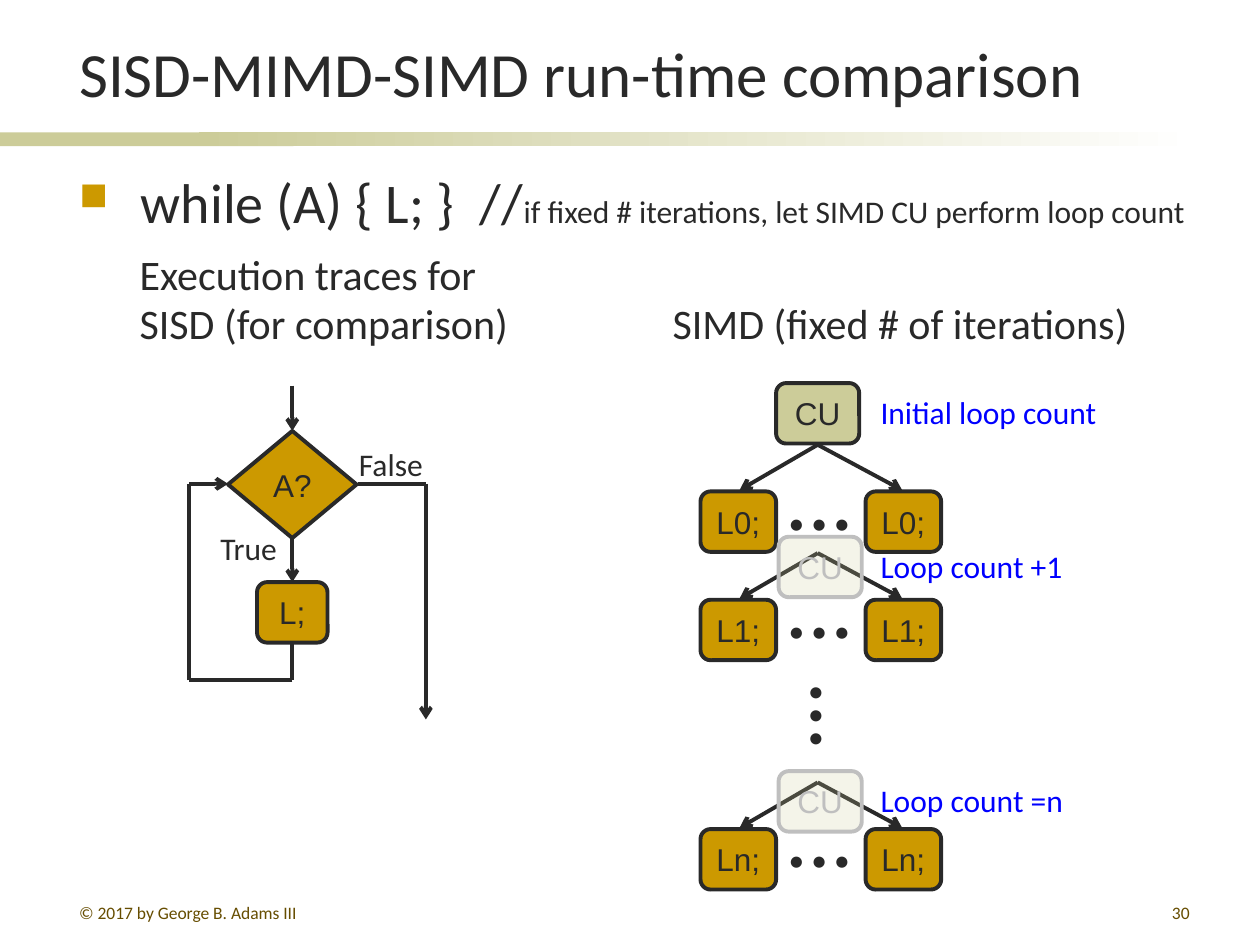
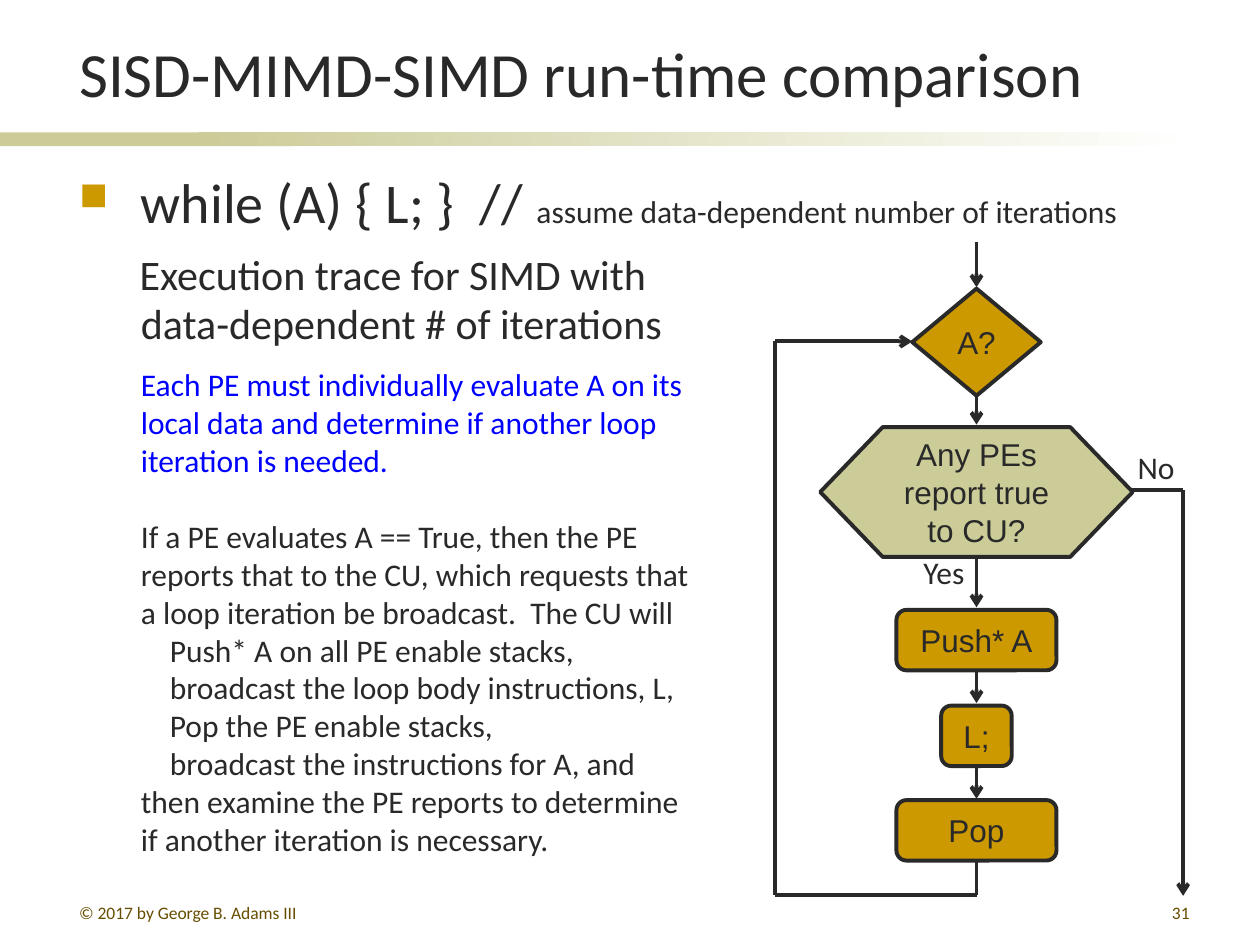
"""Two slides comparing SISD and SIMD execution of a while loop."""
from dataclasses import dataclass
from itertools import pairwise

from lxml import etree
from pptx import Presentation
from pptx.dml.color import RGBColor
from pptx.enum import shapes, text
from pptx.oxml.ns import qn
from pptx.util import Emu, Inches, Pt

INK = RGBColor(0x29, 0x29, 0x29)
GOLD = RGBColor(0xCC, 0x99, 0x00)
SAGE = RGBColor(0xCC, 0xCC, 0x99)
WHITE = RGBColor(0xFF, 0xFF, 0xFF)
FADED = RGBColor(0xBF, 0xBF, 0xBF)
BLUE = RGBColor(0x00, 0x00, 0xFF)
BROWN = RGBColor(0x66, 0x4D, 0x00)
BODY_FONT, NODE_FONT = "Calibri", "Arial"

WIDTH, HEIGHT = Inches(10), Inches(7.5)
COLUMNS, ROWS = 100, 75  # all places below are counted in these grid units
STEP = shapes.MSO_SHAPE.FLOWCHART_ALTERNATE_PROCESS
DECISION = shapes.MSO_SHAPE.FLOWCHART_DECISION
PREPARATION = shapes.MSO_SHAPE.FLOWCHART_PREPARATION
LEFT, CENTER, RIGHT = text.PP_ALIGN.LEFT, text.PP_ALIGN.CENTER, text.PP_ALIGN.RIGHT
TITLE = "SISD-MIMD-SIMD run-time comparison"
COPYRIGHT = "© 2017 by George B. Adams III"
DOTS = "• • •"


@dataclass(frozen=True)
class Box:
    """A rectangle in grid units."""
    col: float
    row: float
    cols: float
    rows: float

    def emu(self) -> tuple[Emu, Emu, Emu, Emu]:
        """Return left, top, width and height as lengths."""
        return (*place(self.col, self.row), *place(self.cols, self.rows))


@dataclass(frozen=True)
class Node:
    """A flow chart node, centred on a column."""
    caption: str
    center: float
    row: float
    cols: float = 5.6
    rows: float = 4.8
    outline: shapes.MSO_SHAPE = STEP
    fill: RGBColor = GOLD
    ghost: bool = False


@dataclass(frozen=True)
class Label:
    """A single line of free text."""
    caption: str
    col: float
    row: float
    cols: float
    size: int = 18
    color: RGBColor = INK
    turn: int = 0


@dataclass(frozen=True)
class Trace:
    """A route through grid points; the last leg may carry an arrowhead."""
    points: tuple[tuple[float, float], ...]
    arrow: bool = True


@dataclass(frozen=True)
class Iteration:
    """One broadcast from the control unit to its processing elements."""
    caption: str
    pe_row: float
    cu_row: float
    count: str
    ghost: bool = True


def place(col: float, row: float) -> tuple[Emu, Emu]:
    """Turn grid units into lengths."""
    return Emu(round(WIDTH * col / COLUMNS)), Emu(round(HEIGHT * row / ROWS))


def style(paragraph, size: int, color: RGBColor, font: str = BODY_FONT, align=LEFT) -> None:
    """Set the font and alignment of a paragraph."""
    paragraph.alignment = align
    paragraph.font.name = font
    paragraph.font.size = Pt(size)
    paragraph.font.color.rgb = color


def add_text(slide, box: Box, caption: str, size: int, color: RGBColor = INK,
             align=LEFT, anchor=text.MSO_ANCHOR.TOP, wrap: bool = True):
    """Add a text box holding one paragraph."""
    area = slide.shapes.add_textbox(*box.emu())
    frame = area.text_frame
    frame.word_wrap = wrap
    frame.vertical_anchor = anchor
    frame.paragraphs[0].text = caption
    style(frame.paragraphs[0], size, color, align=align)
    return area


def add_label(slide, label: Label) -> None:
    """Add a one-line label as high as its text size asks."""
    box = Box(label.col, label.row, label.cols, 5 if label.size > 18 else 4)
    area = add_text(slide, box, label.caption, label.size, label.color, wrap=False)
    area.rotation = label.turn


def add_band(slide, box: Box, fades: bool) -> None:
    """Add one part of the band under the title."""
    band = slide.shapes.add_shape(shapes.MSO_SHAPE.RECTANGLE, *box.emu())
    band.shadow.inherit = False
    band.line.fill.background()
    if fades:
        band.fill.gradient()
        band.fill.gradient_angle = 0
        for stop, color in zip(band.fill.gradient_stops, (SAGE, WHITE)):
            stop.color.rgb = color
    else:
        band.fill.solid()
        band.fill.fore_color.rgb = SAGE


def add_statement(slide, code: str, remark: str) -> None:
    """Add the bulleted loop statement with its smaller remark."""
    area = slide.shapes.add_textbox(*Box(5.3, 12.8, 92.9, 7).emu())
    area.text_frame.word_wrap = True
    statement = area.text_frame.paragraphs[0]
    statement.add_run().text = code
    comment = statement.add_run()
    comment.text = remark
    comment.font.size = Pt(18)
    props = statement._p.get_or_add_pPr()
    props.set("marL", str(Inches(0.49)))
    props.set("indent", str(-Inches(0.49)))
    tint = etree.SubElement(props, qn("a:buClr"))
    etree.SubElement(tint, qn("a:srgbClr"), val=str(GOLD))
    etree.SubElement(props, qn("a:buSzPct"), val="70000")
    etree.SubElement(props, qn("a:buChar"), char="■")
    style(statement, 32, INK)
    statement.space_before = Pt(6.4)


def add_node(slide, node: Node) -> None:
    """Add a flow chart node; a ghost is faded and see-through."""
    box = Box(node.center - node.cols / 2, node.row, node.cols, node.rows)
    shape = slide.shapes.add_shape(node.outline, *box.emu())
    color = FADED if node.ghost else INK
    shape.shadow.inherit = False
    shape.fill.solid()
    shape.fill.fore_color.rgb = node.fill
    if node.ghost:
        tint = shape.element.spPr.find(qn("a:solidFill"))[0]
        etree.SubElement(tint, qn("a:alpha"), val="21000")
    shape.line.color.rgb = color
    shape.line.width = Pt(2.25)
    frame = shape.text_frame
    frame.word_wrap = node.outline == PREPARATION
    frame.vertical_anchor = text.MSO_ANCHOR.MIDDLE
    frame.paragraphs[0].text = node.caption
    style(frame.paragraphs[0], 18, color, NODE_FONT, CENTER)


def add_trace(slide, trace: Trace) -> None:
    """Draw each leg of a trace as a straight connector."""
    for start, end in pairwise(trace.points):
        leg = slide.shapes.add_connector(
            shapes.MSO_CONNECTOR.STRAIGHT, *place(*start), *place(*end))
        leg.line.color.rgb = INK
        leg.line.width = Pt(2.25)
        props = leg.element.spPr
        if trace.arrow and end == trace.points[-1]:
            etree.SubElement(props.find(qn("a:ln")), qn("a:tailEnd"), type="arrow")
        etree.SubElement(props, qn("a:effectLst"))


def add_iteration(slide, step: Iteration) -> None:
    """Draw a control unit fanning out to its first and last elements."""
    for center, tip in ((58.6, 58.7), (71.7, 71.6)):
        add_trace(slide, Trace(((64.9, step.pe_row - 3.7), (tip, step.pe_row - 0.1))))
        add_node(slide, Node(step.caption, center, step.pe_row, cols=6))
    add_label(slide, Label(DOTS, 61.6, step.pe_row + 0.4, 6.9))
    add_node(slide, Node("CU", 65.1 if step.ghost else 64.9, step.cu_row, cols=6.6,
                         fill=SAGE, ghost=step.ghost))
    add_label(slide, Label(step.count, 68.9, step.cu_row + 0.3, 19.4 if not step.ghost else 16.7,
                           color=BLUE))


def add_chart_parts(slide, traces: list[Trace], nodes: list[Node], labels: list[Label]) -> None:
    """Draw the parts of a flow chart from back to front."""
    for trace in traces:
        add_trace(slide, trace)
    for node in nodes:
        add_node(slide, node)
    for label in labels:
        add_label(slide, label)


def start_slide(deck, number: int, code: str, remark: str):
    """Add a slide with band, title, loop statement and footer."""
    slide = deck.slides.add_slide(deck.slide_layouts[6])
    add_band(slide, Box(0, 10.5, 23.3, 1.1), fades=False)
    add_band(slide, Box(15.8, 10.5, 79.2, 1.1), fades=True)
    add_text(slide, Box(5.3, 1.1, 90.1, 8.1), TITLE, 36, anchor=text.MSO_ANCHOR.BOTTOM)
    add_statement(slide, code, remark)
    add_text(slide, Box(5.3, 71.1, 21.7, 2.1), COPYRIGHT, 10, BROWN)
    add_text(slide, Box(74.6, 71.1, 20.8, 2.1), str(number), 10, BROWN, RIGHT)
    return slide


def build_fixed_count(deck) -> None:
    """Build the slide on loops with a fixed number of iterations."""
    slide = start_slide(deck, 30, "while (A) { L; }  //",
                        "if fixed # iterations, let SIMD CU perform loop count")
    axis = 23.2
    traces = [
        Trace(((axis, 30.6), (axis, 34.2))),
        Trace(((axis, 42.6), (axis, 46.2))),
        Trace(((28.4, 38.4), (33.8, 38.4), (33.8, 57.1))),
        Trace(((axis, 51), (axis, 54), (15, 54), (15, 38.4), (18.1, 38.4))),
    ]
    nodes = [Node("A?", axis, 34.2, 10.2, 8.5, DECISION), Node("L;", axis, 46.2)]
    labels = [
        Label("Execution traces for", 10.1, 19.2, 29.2, 24),
        Label("SISD (for comparison)", 10.1, 23.1, 31.6, 24),
        Label("SIMD (fixed # of iterations)", 52.4, 23.1, 39.6, 24),
        Label("False", 27.5, 34.8, 7.2),
        Label("True", 16.5, 41.5, 6.7),
        Label(DOTS, 61.6, 54.9, 6.9, turn=90),
    ]
    add_chart_parts(slide, traces, nodes, labels)
    for step in (
        Iteration("L0;", 39, 30.4, "Initial loop count", ghost=False),
        Iteration("L1;", 47.6, 42.6, "Loop count +1"),
        Iteration("Ln;", 65.8, 61.2, "Loop count =n"),
    ):
        add_iteration(slide, step)


def add_explanation(slide) -> None:
    """Add the account of how the control unit and elements share the loop."""
    question = ("Each PE must individually evaluate A on its local data and "
                "determine if another loop iteration is needed.")
    answer = ("If a PE evaluates A == True, then the PE reports that to the CU, which "
              "requests that a loop iteration be broadcast.  The CU will")
    actions = ("Push* A on all PE enable stacks,",
               "broadcast the loop body instructions, L,",
               "Pop the PE enable stacks,",
               "broadcast the instructions for A, and then examine the PE reports "
               "to determine if another iteration is necessary.")
    frame = add_text(slide, Box(10.2, 28.5, 45.6, 40.4), question, 18, BLUE).text_frame
    for caption in (answer, *actions):
        paragraph = frame.add_paragraph()
        paragraph.text = caption
        style(paragraph, 18, INK)
        if caption == answer:
            paragraph.space_before = Pt(22)
        else:
            paragraph._p.get_or_add_pPr().set("indent", str(Inches(0.23)))


def build_data_dependent(deck) -> None:
    """Build the slide on loops whose length depends on the data."""
    slide = start_slide(deck, 31, "while (A) { L; }  // ",
                        "assume data-dependent number of iterations")
    add_explanation(slide)
    axis = 77.5
    falls = ((19.2, 22.8), (31.2, 33.7), (44.2, 48.2), (53.3, 55.8), (60.9, 63.4))
    traces = [Trace(((axis, top), (axis, bottom))) for top, bottom in falls]
    traces += [
        Trace(((axis, 68.3), (axis, 71), (61.5, 71), (61.5, 27.1), (72.4, 27.1))),
        Trace(((89.8, 38.9), (93.9, 38.9), (93.9, 71.1))),
    ]
    nodes = [
        Node("A?", axis, 22.9, 10.2, 8.5, DECISION),
        Node("Any PEs report true to CU?", axis, 33.9, 24.8, 10.3, PREPARATION, SAGE),
        Node("Push* A", axis, 48.4, 12.7),
        Node("L;", axis, 56),
        Node("Pop", axis, 63.5, 12.7),
    ]
    labels = [
        Label("Execution trace for SIMD with", 10.1, 19.2, 42.9, 24),
        Label("data-dependent # of iterations", 10.2, 23.1, 44, 24),
        Label("Yes", 72.3, 43.4, 5.5),
        Label("No", 89.3, 35.1, 5),
    ]
    add_chart_parts(slide, traces, nodes, labels)


def main() -> None:
    """Build and save the deck."""
    deck = Presentation()
    deck.slide_width, deck.slide_height = WIDTH, HEIGHT
    build_fixed_count(deck)
    build_data_dependent(deck)
    deck.save("out.pptx")


main()
